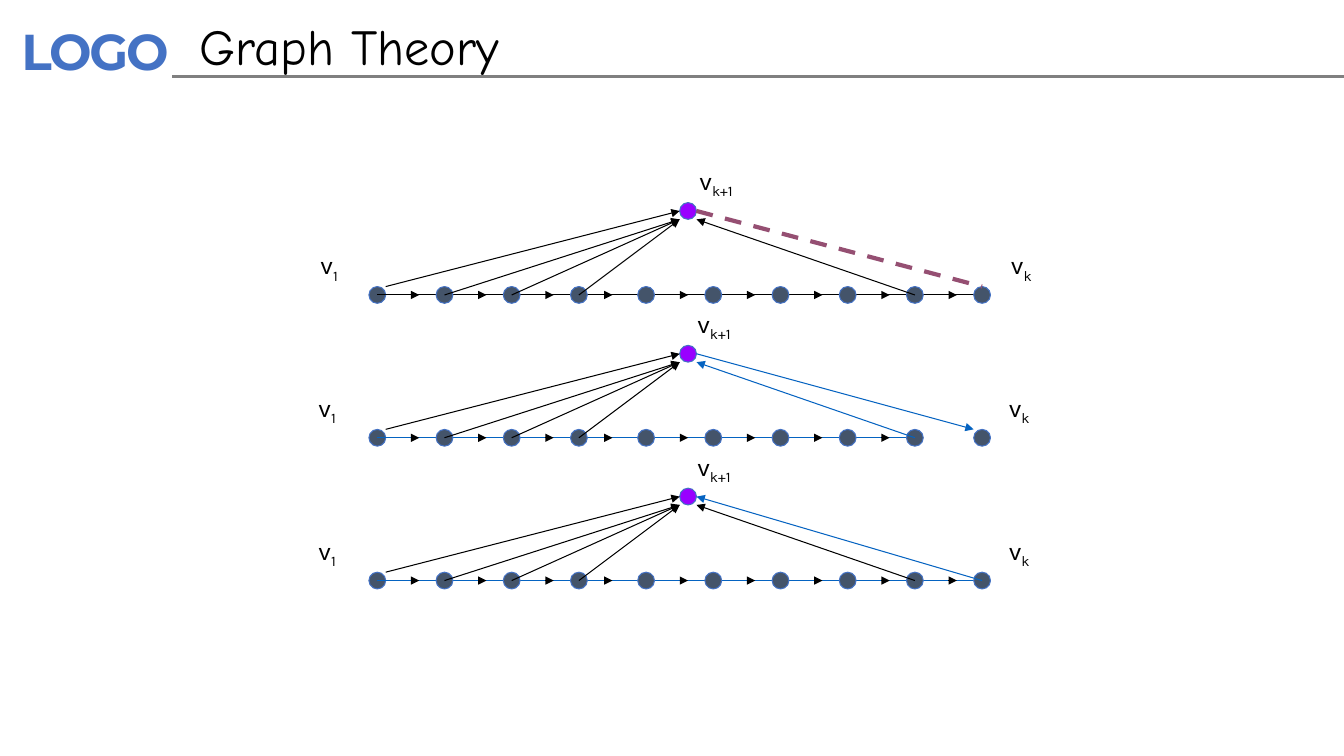
from lxml import etree
from pptx import Presentation
from pptx import util as u
from pptx.dml.color import RGBColor
from pptx.enum import dml, shapes, text
from pptx.oxml.ns import qn

BLACK, BLUE, ACCENT = "000000", "0563C1", "4472C4"
STEP, VERTICES, RADIUS = 48, 10, 6
APEX_X, APEX_Y = 222, -60
LAST_X = STEP * (VERTICES - 1)
GRAPH_LEFT, GRAPH_TOP, GRAPH_GAP = 269.5, 210.7, 102


def color(value):
    return RGBColor.from_string(value)


def apply(target, values):
    for key, value in values.items():
        setattr(target, key, value)


def add_edge(slide, start, end, tint=BLACK, width=0.75, arrow=False, dash=None):
    edge = slide.shapes.add_connector(
        shapes.MSO_CONNECTOR.STRAIGHT, *(u.Pt(v) for v in (*start, *end)))
    edge.line.color.rgb = color(tint)
    apply(edge.line, {"width": u.Pt(width), "dash_style": dash})
    properties = edge._element.spPr
    if arrow:
        etree.SubElement(properties.find(qn("a:ln")), qn("a:tailEnd"), type="triangle")
    etree.SubElement(properties, qn("a:effectLst"))


def add_vertex(slide, x, y, fill):
    vertex = slide.shapes.add_shape(
        shapes.MSO_SHAPE.OVAL, u.Pt(x - RADIUS), u.Pt(y - RADIUS),
        u.Pt(2 * RADIUS), u.Pt(2 * RADIUS))
    vertex.shadow.inherit = False
    vertex.fill.solid()
    vertex.fill.fore_color.rgb = color(fill)
    vertex.line.color.rgb = color(ACCENT)
    vertex.line.width = u.Pt(0.75)


def add_run(paragraph, wording, tint, **font):
    run = paragraph.add_run()
    run.text = wording
    apply(run.font, font)
    run.font.color.rgb = color(tint)
    return run


def add_label(slide, x, y, width, subscript, wrap):
    label = slide.shapes.add_textbox(u.Pt(x), u.Pt(y), u.Pt(width), u.Pt(36))
    apply(label.text_frame, {"word_wrap": wrap,
                             "auto_size": text.MSO_AUTO_SIZE.SHAPE_TO_FIT_TEXT})
    paragraph = label.text_frame.paragraphs[0]
    for wording in ("v", subscript):
        run = add_run(paragraph, wording, BLACK, name="Karla", size=u.Pt(18))
    run.font._element.set("baseline", "-25000")


def add_header(slide, left, top, width):
    logo = slide.shapes.add_textbox(u.Pt(left + 5.8), u.Pt(top + 9.4), u.Pt(134), u.Pt(53.3))
    apply(logo.text_frame, {"word_wrap": True,
                            "margin_left": u.Pt(9.4), "margin_right": u.Pt(9.4),
                            "margin_top": u.Pt(5), "margin_bottom": u.Pt(5)})
    mark = add_run(logo.text_frame.paragraphs[0], "LOGO", ACCENT,
                   name="Montserrat", size=u.Pt(36), bold=True)
    mark.font._element.set("spc", "-150")

    add_edge(slide, (left + 123, top + 54.7), (left + width, top + 54.7), "808080", 2)

    title = slide.shapes.title
    apply(title, {"left": u.Pt(left + 135.4), "top": u.Pt(top + 7.2),
                  "width": u.Pt(620.6), "height": u.Pt(51)})
    apply(title.text_frame, {"vertical_anchor": text.MSO_ANCHOR.TOP, "word_wrap": True,
                             "auto_size": text.MSO_AUTO_SIZE.SHAPE_TO_FIT_TEXT})
    heading = title.text_frame.paragraphs[0]
    heading.alignment = text.PP_ALIGN.LEFT
    add_run(heading, "Graph Theory", BLACK, name="Comic Neue", size=u.Pt(36))


def add_graph(slide, left, top, path_end, path_tint, steps, return_tint,
              closing_edge, label_shift):
    def at(x, y):
        return left + x, top + y

    for index in range(VERTICES):
        add_vertex(slide, *at(index * STEP, 0), "44546A")
        if index == 0:
            add_edge(slide, at(0, 0), at(path_end, 0), path_tint)

    for index in range(steps):
        x = index * STEP + (18 if index == 3 else 24)
        add_edge(slide, at(x, 0), at(x + 6, 0), arrow=True)

    add_vertex(slide, *at(APEX_X, APEX_Y), "9900FF")
    apex_left, apex_right = APEX_X - RADIUS, APEX_X + RADIUS
    apex_bottom = APEX_Y + RADIUS
    add_edge(slide, at(RADIUS, -RADIUS), at(apex_left, APEX_Y), arrow=True)
    for index in (1, 2, 3):
        add_edge(slide, at(index * STEP, 0), at(apex_left, apex_bottom), arrow=True)
    add_edge(slide, at(LAST_X - STEP, 0), at(apex_right, apex_bottom),
             return_tint, arrow=True)
    start, end, style = closing_edge
    add_edge(slide, at(*start), at(*end), **style)

    for x, y, width, subscript, wrap in ((-49.2, -36, 35.3, "1", False),
                                         (444, -36, 34.6, "k", False),
                                         (221.5, -96, 72, "k+1", True)):
        add_label(slide, *at(x + label_shift, y), width, subscript, wrap)


def main():
    deck = Presentation()
    apply(deck, {"slide_width": u.Pt(960), "slide_height": u.Pt(540)})
    slide = deck.slides.add_slide(deck.slide_layouts[5])
    add_header(slide, 0, 0, 960)

    apex_side = (APEX_X + RADIUS, APEX_Y)
    blue_arrow = {"tint": BLUE, "arrow": True}
    missing = {"tint": "954F72", "width": 3, "dash": dml.MSO_LINE.DASH}
    graphs = (
        (LAST_X, BLACK, 9, BLACK, (apex_side, (LAST_X, -RADIUS), missing), 1.5),
        (LAST_X - STEP, BLUE, 8, BLUE,
         (apex_side, (LAST_X - RADIUS, -RADIUS), blue_arrow), 0),
        (LAST_X - RADIUS, BLUE, 9, BLACK, ((LAST_X, 0), apex_side, blue_arrow), 0),
    )
    for row, graph in enumerate(graphs):
        add_graph(slide, GRAPH_LEFT, GRAPH_TOP + row * GRAPH_GAP, *graph)
    deck.save("out.pptx")


if __name__ == "__main__":
    main()
